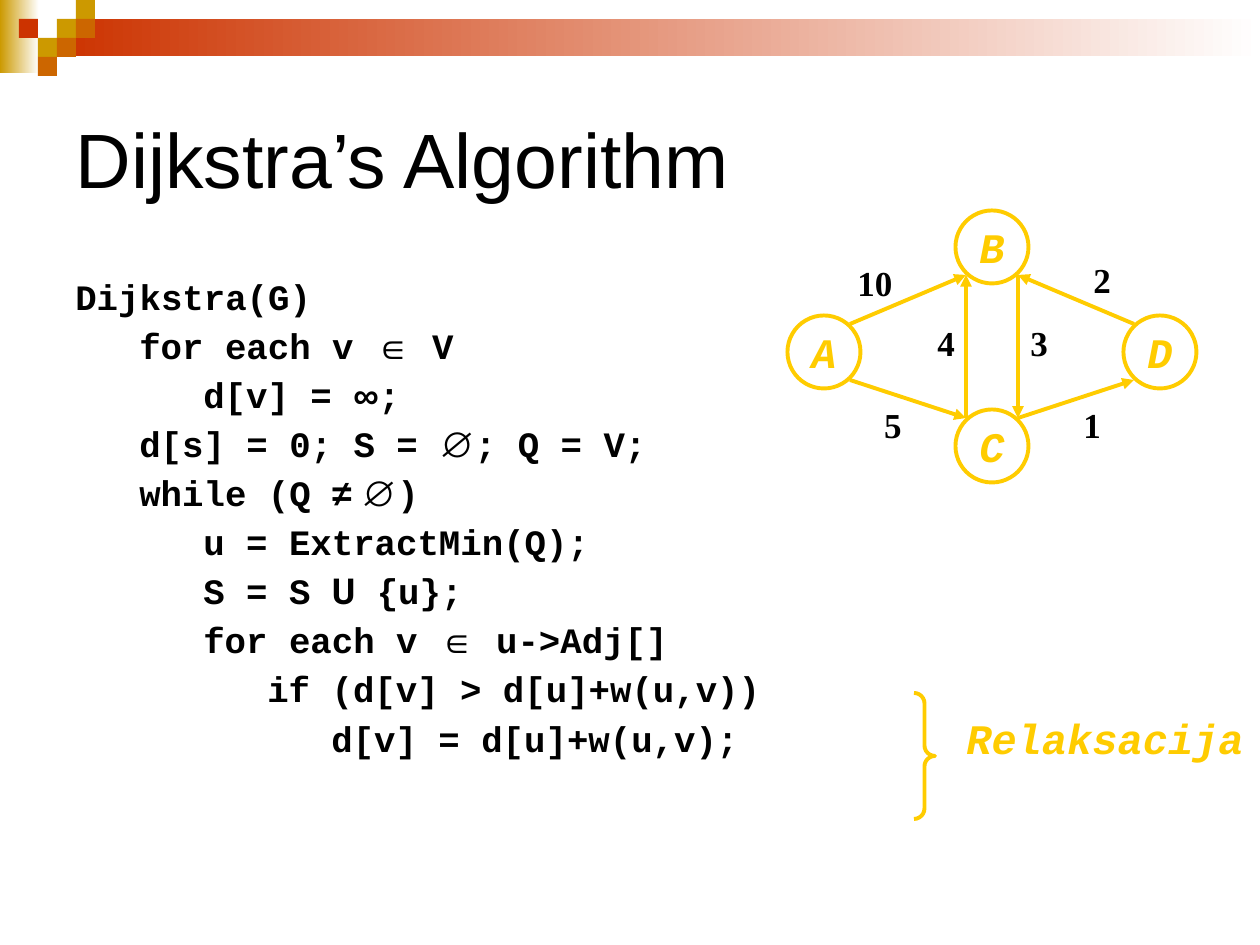
from lxml import etree
from pptx import Presentation
from pptx.dml.color import RGBColor
from pptx.enum.shapes import MSO_CONNECTOR, MSO_SHAPE
from pptx.enum.text import MSO_ANCHOR, PP_ALIGN
from pptx.oxml.ns import qn
from pptx.util import Pt

EMU_PER_PX = 914400 / 126
TITLE_ONLY = 5
RECTANGLE = MSO_SHAPE.RECTANGLE
OVAL = MSO_SHAPE.OVAL
RIGHT_BRACE = MSO_SHAPE.RIGHT_BRACE
STRAIGHT = MSO_CONNECTOR.STRAIGHT
LEFT, CENTER = PP_ALIGN.LEFT, PP_ALIGN.CENTER
TOP, MIDDLE = MSO_ANCHOR.TOP, MSO_ANCHOR.MIDDLE

BLACK, WHITE, YELLOW = "000000", "FFFFFF", "FFCC00"
GOLD, ORANGE, RED = "CC9900", "CC6600", "CC3300"
CODE_FONT = "Courier New"

# Squares of the corner ornament: column, row, colour
CELL = 19
ORNAMENT = [(3, 1, GOLD), (4, 0, GOLD), (4, 1, ORANGE), (2, 2, GOLD),
            (1, 1, RED), (3, 2, ORANGE), (2, 3, ORANGE)]

# Indent level, then text pieces with their fonts
CODE_INDENT = 64
CODE = [
    (0, [("Dijkstra(G)", None)]),
    (1, [("for each v ", None), ("∈", "Arial"), (" V", None)]),
    (2, [("d[v] = ", None), ("∞", "Arial"), (";", None)]),
    (1, [("d[s] = 0; S = ", None), ("∅", "Arial"), ("; Q = V;", None)]),
    (1, [("while (Q ", None), ("≠ ∅", "Arial"), (")", None)]),
    (2, [("u = ExtractMin(Q);", None)]),
    (2, [("S = S ", None), ("U", "Roboto"), (" {u};", None)]),
    (2, [("for each v ", None), ("∈", "Arial"), (" u->Adj[]", None)]),
    (3, [("if (d[v] > d[u]+w(u,v))", None)]),
    (4, [("d[v] = d[u]+w(u,v);", None)]),
]

NODE_SIZE = 73
NODE_CENTERS = {"B": (992, 247), "C": (992, 446), "D": (1160, 352), "A": (824, 352)}
# Start, end, side taken by a vertical edge, weight, centre of the weight
EDGES = [("A", "B", 0, "10", (875, 283)), ("A", "C", 0, "5", (893, 425)),
         ("C", "D", 0, "1", (1092, 425)), ("D", "B", 0, "2", (1102, 280)),
         ("C", "B", -1, "4", (946, 343)), ("B", "C", 1, "3", (1039, 343))]


def px(length):
    return round(length * EMU_PER_PX)


def color(hex_text):
    return RGBColor.from_string(hex_text)


def sign(number):
    return (number > 0) - (number < 0)


class SlideBuilder:
    def __init__(self, slide):
        self.slide = slide

    def format(self, paragraph, font, size, hex_text, bold=True, italic=False, align=LEFT):
        paragraph.alignment = align
        paragraph.font.name = font
        paragraph.font.size = Pt(size)
        paragraph.font.color.rgb = color(hex_text)
        paragraph.font.bold = bold
        paragraph.font.italic = italic

    def title(self, text, left, top, width, height):
        title = self.slide.shapes.title
        title.left, title.top, title.width, title.height = map(px, (left, top, width, height))
        title.text_frame.text = text
        title.text_frame.vertical_anchor = MIDDLE
        self.format(title.text_frame.paragraphs[0], "Arial", 44, BLACK, bold=False)

    def shape(self, kind, left, top, width, height, fill=None, line=None):
        shape = self.slide.shapes.add_shape(kind, *map(px, (left, top, width, height)))
        shape.shadow.inherit = False
        if fill:
            shape.fill.solid()
            shape.fill.fore_color.rgb = color(fill)
        else:
            shape.fill.background()
        if line:
            shape.line.color.rgb = color(line)
            shape.line.width = Pt(2.25)
        else:
            shape.line.fill.background()
        return shape

    def fading_bar(self, left, top, width, height, start):
        bar = self.shape(RECTANGLE, left, top, width, height)
        bar.fill.gradient()
        bar.fill.gradient_angle = 0
        for stop, hex_text in zip(bar.fill.gradient_stops, (start, WHITE)):
            stop.color.rgb = color(hex_text)

    def node(self, name, center_x, center_y):
        half = NODE_SIZE / 2
        node = self.shape(OVAL, center_x - half, center_y - half, NODE_SIZE, NODE_SIZE,
                          WHITE, YELLOW)
        frame = node.text_frame
        frame.text = name
        frame.word_wrap = False
        frame.vertical_anchor = MIDDLE
        self.format(frame.paragraphs[0], CODE_FONT, 24, YELLOW, italic=True, align=CENTER)

    def arrow(self, *ends):
        arrow = self.slide.shapes.add_connector(STRAIGHT, *map(px, ends))
        arrow.line.color.rgb = color(YELLOW)
        arrow.line.width = Pt(2.25)
        etree.SubElement(arrow.line._get_or_add_ln(), qn("a:tailEnd"), type="triangle")
        etree.SubElement(arrow._element.spPr, qn("a:effectLst"))

    def text_box(self, left, top, width, height, wrap=False):
        box = self.slide.shapes.add_textbox(*map(px, (left, top, width, height)))
        box.text_frame.word_wrap = wrap
        box.text_frame.vertical_anchor = TOP
        return box.text_frame

    def label(self, text, left, top, width, height, **style):
        frame = self.text_box(left, top, width, height)
        frame.text = text
        self.format(frame.paragraphs[0], **style)

    def code(self, lines, left, top, width, height):
        frame = self.text_box(left, top, width, height, wrap=True)
        for number, (level, pieces) in enumerate(lines):
            paragraph = frame.add_paragraph() if number else frame.paragraphs[0]
            paragraph.line_spacing = 0.9
            paragraph.space_before = Pt(6)
            self.format(paragraph, CODE_FONT, 20.4, BLACK)
            paragraph._p.get_or_add_pPr().set("marL", str(px(level * CODE_INDENT)))
            for text, font in pieces:
                run = paragraph.add_run()
                run.text = text
                if font:
                    run.font.name = font

    def edge(self, start, end, side):
        """Join two nodes at the diagonal points that face each other."""
        (x1, y1), (x2, y2) = NODE_CENTERS[start], NODE_CENTERS[end]
        toward_x, toward_y = sign(x2 - x1), sign(y2 - y1)
        reach_x, reach_y = 26, 28 * toward_y
        self.arrow(x1 + reach_x * (toward_x or side), y1 + reach_y,
                   x2 + reach_x * (-toward_x or side), y2 - reach_y)


def main():
    presentation = Presentation()
    presentation.slide_width, presentation.slide_height = px(1260), px(945)
    slide = presentation.slides.add_slide(presentation.slide_layouts[TITLE_ONLY])
    builder = SlideBuilder(slide)

    builder.fading_bar(0, 0, 39, 73, GOLD)
    builder.fading_bar(3 * CELL, CELL, 1203, 37, RED)
    for column, row, fill in ORNAMENT:
        builder.shape(RECTANGLE, column * CELL, row * CELL, CELL, CELL, fill)

    builder.title("Dijkstra’s Algorithm", 63, 63, 1134, 189)
    builder.code(CODE, 63, 273, 1134, 536)

    brace = builder.shape(RIGHT_BRACE, 914, 693, 21, 126, line=YELLOW)
    brace.adjustments[0] = 0.5
    builder.label("Relaksacija", 954, 706, 302, 63,
                  font=CODE_FONT, size=24, hex_text=YELLOW, italic=True)

    for name, center in NODE_CENTERS.items():
        builder.node(name, *center)
    for start, end, side, weight, (center_x, center_y) in EDGES:
        builder.edge(start, end, side)
        width, height = 25 + 18 * len(weight), 55
        builder.label(weight, center_x - width / 2, center_y - height / 2, width, height,
                      font="Times New Roman", size=20, hex_text=BLACK, align=CENTER)

    presentation.save("out.pptx")


if __name__ == "__main__":
    main()
